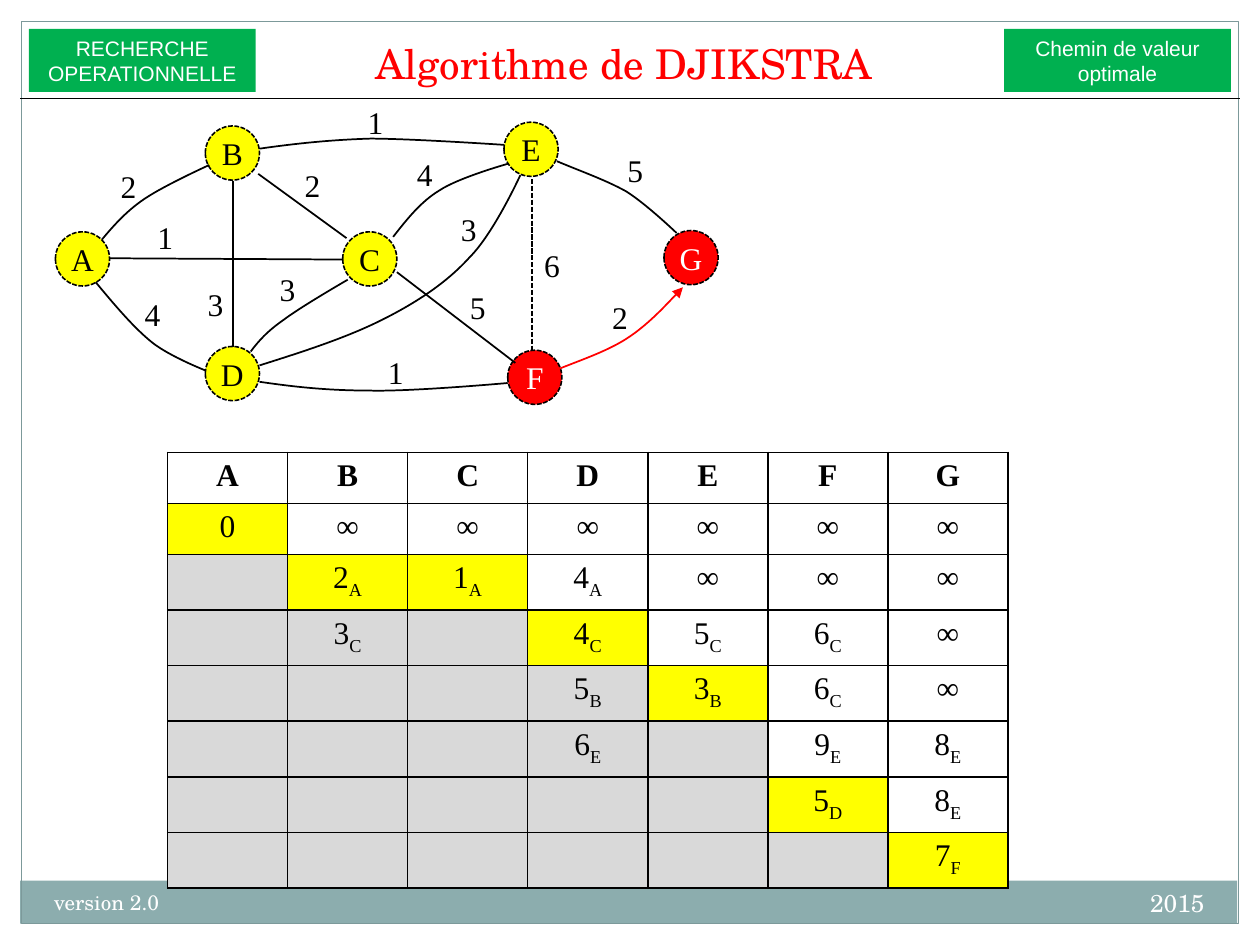
"""Build the Dijkstra slide: weighted graph above, table of successive distances below."""
import pptx
import pptx.dml.color
import pptx.enum.dml
import pptx.enum.shapes
import pptx.enum.text
import pptx.oxml
import pptx.oxml.ns
import pptx.util
from lxml import etree

Inches = pptx.util.Inches
Pt = pptx.util.Pt
RGBColor = pptx.dml.color.RGBColor
Align = pptx.enum.text.PP_ALIGN
Anchor = pptx.enum.text.MSO_ANCHOR
Shape = pptx.enum.shapes.MSO_SHAPE
DASH = pptx.enum.dml.MSO_LINE.SQUARE_DOT
qn = pptx.oxml.ns.qn

COLORS = {
    "black": "000000", "white": "FFFFFF", "red": "FF0000", "yellow": "FFFF00",
    "green": "00B050", "grey": "D9D9D9", "band": "8CADAE", "frame": "7C999A",
}
COLORS = {name: RGBColor.from_string(value) for name, value in COLORS.items()}
SERIF = "Times New Roman"
DISPLAY = "TeX Gyre Schola"


def write_text(text_frame, text, *, size=18, font=SERIF, color="black", bold=False,
               align=Align.LEFT, anchor=Anchor.TOP, subscript=""):
    """Fill a text frame, one paragraph a line, with an optional subscript."""
    text_frame.word_wrap = True
    text_frame.vertical_anchor = anchor
    text_frame.text = text
    for paragraph in text_frame.paragraphs:
        paragraph.alignment = align
        if subscript:
            run = paragraph.add_run()
            run.text = subscript
            run._r.get_or_add_rPr().set("baseline", "-25000")
        for run in paragraph.runs:
            run.font.size = Pt(size)
            run.font.name = font
            run.font.bold = bold
            run.font.color.rgb = COLORS[color]


def style_shape(shape, *, fill=None, line=None, width=1, dash=None):
    """Set fill, outline and no shadow."""
    shape.shadow.inherit = False
    if fill:
        shape.fill.solid()
        shape.fill.fore_color.rgb = COLORS[fill]
    else:
        shape.fill.background()
    if line:
        shape.line.color.rgb = COLORS[line]
        shape.line.width = Pt(width)
        shape.line.dash_style = dash
    else:
        shape.line.fill.background()


presentation = pptx.Presentation()
presentation.slide_width = Inches(10)
presentation.slide_height = Inches(7.5)
slide = presentation.slides.add_slide(presentation.slide_layouts[5])
shapes = slide.shapes

band = shapes.add_shape(Shape.RECTANGLE, Inches(0.16), Inches(6.99), Inches(9.66), Inches(0.34))
style_shape(band, fill="band")
frame = shapes.add_shape(Shape.RECTANGLE, Inches(0.17), Inches(0.17), Inches(9.66), Inches(7.16))
style_shape(frame, line="frame", width=0.75)

year = shapes.add_textbox(Inches(6.33), Inches(7), Inches(3.33), Inches(0.4))
write_text(year.text_frame, "2015", size=14, font=DISPLAY, color="white", align=Align.RIGHT)
version = shapes.add_textbox(Inches(0.33), Inches(7.01), Inches(3.92), Inches(0.4))
write_text(version.text_frame, "version 2.0", size=12, font=DISPLAY, color="white")

for left, text in ((7.97, "Chemin de valeur\noptimale"), (0.23, "RECHERCHE\nOPERATIONNELLE")):
    label = shapes.add_shape(Shape.RECTANGLE, Inches(left), Inches(0.23), Inches(1.8), Inches(0.5))
    style_shape(label, fill="green")
    write_text(label.text_frame, text, size=12, font="Arial", color="white",
               align=Align.CENTER, anchor=Anchor.MIDDLE)

title = shapes.title
title.left, title.top, title.width, title.height = map(Inches, (2.45, 0.22, 5, 0.53))
write_text(title.text_frame, "Algorithme de DJIKSTRA", size=23.4, font=DISPLAY, color="red",
           align=Align.CENTER, anchor=Anchor.BOTTOM)

settled_rows = (1, 2, 2, 3, 4, 6, 7)
distance_rows = (
    "A B C D E F G",
    "0 ∞ ∞ ∞ ∞ ∞ ∞",
    "- 2A 1A 4A ∞ ∞ ∞",
    "- 3C - 4C 5C 6C ∞",
    "- - - 5B 3B 6C ∞",
    "- - - 6E - 9E 8E",
    "- - - - - 5D 8E",
    "- - - - - - 7F",
)
table = shapes.add_table(8, 7, Inches(1.33), Inches(3.59), Inches(6.67), Inches(3.24)).table
table.first_row = False
table.horz_banding = False
for row_index, distances in enumerate(distance_rows):
    for column_index, distance in enumerate(distances.split()):
        cell = table.cell(row_index, column_index)
        for side in ("a:lnL", "a:lnR", "a:lnT", "a:lnB"):
            border = etree.SubElement(cell._tc.get_or_add_tcPr(), qn(side), w=str(Pt(1)))
            border_fill = etree.SubElement(border, qn("a:solidFill"))
            etree.SubElement(border_fill, qn("a:srgbClr"), val=str(COLORS["black"]))
        settled = settled_rows[column_index]
        fill = "white" if row_index < settled else "yellow" if row_index == settled else "grey"
        cell.fill.solid()
        cell.fill.fore_color.rgb = COLORS[fill]
        if distance != "-":
            write_text(cell.text_frame, distance[0], subscript=distance[1:],
                       bold=row_index == 0, align=Align.CENTER)

nodes = (
    ("A", 0.44, 1.84, "yellow", "black"), ("B", 1.63, 1, "yellow", "black"),
    ("C", 2.72, 1.84, "yellow", "black"), ("D", 1.63, 2.75, "yellow", "black"),
    ("E", 4, 0.97, "yellow", "black"), ("F", 4.03, 2.78, "red", "white"),
    ("G", 5.27, 1.83, "red", "white"),
)
for name, left, top, fill, color in nodes:
    node = shapes.add_shape(Shape.OVAL, Inches(left), Inches(top), Inches(0.43), Inches(0.43))
    style_shape(node, fill=fill, line="black", width=0.9, dash=DASH)
    node.text_frame.margin_left = node.text_frame.margin_right = 0
    node.text_frame.margin_top = node.text_frame.margin_bottom = 0
    write_text(node.text_frame, name, color=color, align=Align.CENTER, anchor=Anchor.MIDDLE)

straight_lines = (
    (0.16, 0.78, 9.84, 0.78, 0.75, None),
    (0.87, 2.05, 2.72, 2.06, 1, None),
    (1.85, 1.44, 1.85, 2.75, 1, None),
    (2.05, 1.38, 2.75, 1.89, 1, None),
    (3.15, 2.16, 4.09, 2.88, 1, None),
    (4.22, 1.42, 4.22, 2.78, 1, DASH),
)
for x1, y1, x2, y2, width, dash in straight_lines:
    connector = shapes.add_connector(pptx.enum.shapes.MSO_CONNECTOR.STRAIGHT,
                                     Inches(x1), Inches(y1), Inches(x2), Inches(y2))
    connector.line.color.rgb = COLORS["black"]
    connector.line.width = Pt(width)
    connector.line.dash_style = dash
    etree.SubElement(connector._element.spPr, qn("a:effectLst"))

curves = {
    "DC": ((1.99, 2.79), (2.05, 2.71), (2.12, 2.63), (2.25, 2.54), (2.38, 2.44), (2.76, 2.22), (2.76, 2.22)),
    "EG": ((4.42, 1.28), (4.61, 1.36), (4.81, 1.43), (4.97, 1.52), (5.13, 1.62), (5.37, 1.85), (5.37, 1.85)),
    "FG": ((4.43, 2.93), (4.63, 2.85), (4.84, 2.78), (5, 2.67), (5.16, 2.56), (5.42, 2.28), (5.42, 2.28)),
    "AB": ((0.81, 1.9), (0.91, 1.78), (1.02, 1.66), (1.16, 1.57), (1.31, 1.47), (1.66, 1.31), (1.66, 1.31)),
    "DE": ((2.06, 2.9), (2.41, 2.79), (2.75, 2.68), (3.03, 2.54), (3.31, 2.4), (3.55, 2.24), (3.73, 2.04),
           (3.92, 1.85), (4.13, 1.39), (4.13, 1.39)),
    "CE": ((3.12, 1.88), (3.23, 1.74), (3.34, 1.6), (3.49, 1.51), (3.64, 1.41), (4.03, 1.3), (4.03, 1.3)),
    "DF": ((2.06, 3.03), (2.33, 3.07), (2.6, 3.1), (2.93, 3.1), (3.25, 3.11), (4.03, 3.04), (4.03, 3.04)),
    "BE": ((2.06, 1.18), (2.34, 1.14), (2.62, 1.11), (2.94, 1.1), (3.26, 1.1), (4, 1.15), (4, 1.15)),
    "AD": ((0.76, 2.24), (0.91, 2.42), (1.06, 2.6), (1.21, 2.72), (1.35, 2.83), (1.63, 2.94), (1.63, 2.94)),
}
for edge, points in curves.items():
    start, *controls = [(Inches(x), Inches(y)) for x, y in points]
    builder = shapes.build_freeform(*start)
    builder.add_line_segments(controls, close=False)
    curve = builder.convert_to_shape()
    outline = next(curve._element.iter(qn("a:path")))
    segments = outline.findall(qn("a:lnTo"))
    for index in range(0, len(segments), 3):
        bezier = etree.SubElement(outline, qn("a:cubicBezTo"))
        for segment in segments[index:index + 3]:
            bezier.append(segment[0])
            outline.remove(segment)
    style_shape(curve, line="red" if edge == "FG" else "black")
    if edge == "FG":
        etree.SubElement(curve.line._get_or_add_ln(), qn("a:tailEnd"), type="triangle")

weights = (
    ("1", 1.15, 1.68), ("6", 4.22, 1.9), ("3", 1.55, 2.21), ("2", 2.32, 1.27), ("2", 0.86, 1.28),
    ("1", 2.98, 2.75), ("2", 4.76, 2.32), ("3", 3.56, 1.62), ("4", 3.21, 1.18), ("3", 2.12, 2.09),
    ("5", 4.88, 1.15), ("5", 3.63, 2.24), ("4", 1.05, 2.29), ("1", 2.82, 0.77),
)
for weight, left, top in weights:
    label = shapes.add_textbox(Inches(left), Inches(top), Inches(0.41), Inches(0.4))
    write_text(label.text_frame, weight)

presentation.save("out.pptx")
